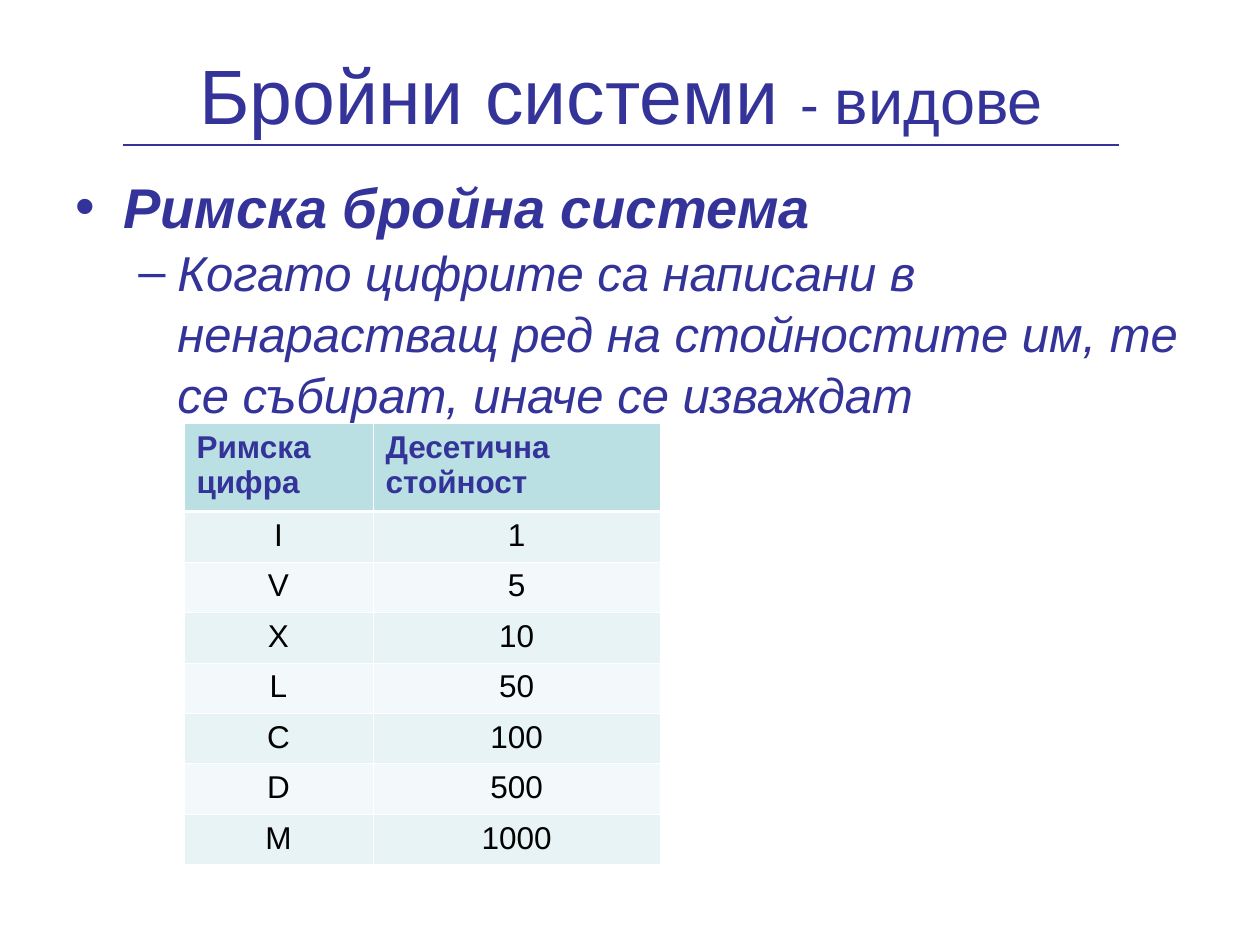
from lxml import etree
from pptx import Presentation
from pptx.dml.color import RGBColor
from pptx.enum.shapes import MSO_CONNECTOR
from pptx.enum.text import MSO_ANCHOR, PP_ALIGN
from pptx.oxml.ns import qn
from pptx.util import Inches, Pt

LEFT, CENTER = PP_ALIGN.LEFT, PP_ALIGN.CENTER
TOP, MIDDLE = MSO_ANCHOR.TOP, MSO_ANCHOR.MIDDLE
STRAIGHT = MSO_CONNECTOR.STRAIGHT

INDIGO = RGBColor(0x33, 0x33, 0x99)
BLACK = RGBColor(0, 0, 0)
WHITE = RGBColor(0xFF, 0xFF, 0xFF)
HEADER_FILL = RGBColor(0xBB, 0xE0, 0xE3)
BAND_FILLS = (RGBColor(0xE7, 0xF3, 0xF4), RGBColor(0xF3, 0xF9, 0xFA))

THIN, THICK = 0.45, 1.47


class SlideBuilder:
    font_name = "Arial"

    def __init__(self, page):
        self.page = page

    def add_span(self, para, text, color=INDIGO, **formats):
        span = para.add_run()
        span.text = text
        span.font.color.rgb = color
        for name, value in {"name": self.font_name, **formats}.items():
            setattr(span.font, name, value)

    def add_box(self, left, top, width, height, anchor):
        box = self.page.shapes.add_textbox(
            Inches(left), Inches(top), Inches(width), Inches(height))
        frame = box.text_frame
        frame.word_wrap = True
        frame.vertical_anchor = anchor
        return frame

    def add_bullet(self, para, mark, margin, hanging):
        properties = para._p.get_or_add_pPr()
        properties.set("marL", str(Inches(margin)))
        properties.set("indent", str(-Inches(hanging)))
        color = etree.SubElement(properties, qn("a:buClr"))
        etree.SubElement(color, qn("a:srgbClr"), val=str(INDIGO))
        etree.SubElement(properties, qn("a:buFont"), typeface=self.font_name)
        etree.SubElement(properties, qn("a:buChar"), char=mark)

    def add_rule(self, left, right, y):
        rule = self.page.shapes.add_connector(
            STRAIGHT, Inches(left), Inches(y), Inches(right), Inches(y))
        rule.line.color.rgb = INDIGO
        rule.line.width = Pt(1.5)
        etree.SubElement(rule._element.spPr, qn("a:effectLst"))

    def set_borders(self, cell, **widths):
        properties = cell._tc.get_or_add_tcPr()
        for index, side in enumerate(("L", "R", "T", "B")):
            border = etree.Element(
                qn("a:ln" + side), w=str(Pt(widths.get(side, THIN))))
            fill = etree.SubElement(border, qn("a:solidFill"))
            etree.SubElement(fill, qn("a:srgbClr"), val=str(WHITE))
            properties.insert(index, border)

    def add_table(self, left, top, column_widths, row_heights, rows):
        table = self.page.shapes.add_table(
            len(rows), len(column_widths), Inches(left), Inches(top),
            Inches(sum(column_widths)), Inches(sum(row_heights))).table
        for column, width in zip(table.columns, column_widths):
            column.width = Inches(width)
        for row, height in zip(table.rows, row_heights):
            row.height = Inches(height)
        for row_index, values in enumerate(rows):
            header = row_index == 0
            borders = {0: {"B": THICK}, 1: {"T": THICK}}.get(row_index, {})
            for column_index, value in enumerate(values):
                cell = table.cell(row_index, column_index)
                cell.fill.solid()
                cell.fill.fore_color.rgb = (
                    HEADER_FILL if header else BAND_FILLS[(row_index - 1) % 2])
                self.set_borders(cell, **borders)
                para = cell.text_frame.paragraphs[0]
                para.alignment = LEFT if header else CENTER
                self.add_span(para, value, INDIGO if header else BLACK,
                              size=Pt(18), bold=header)


def main():
    deck = Presentation()
    deck.slide_width, deck.slide_height = Inches(10), Inches(7.5)
    builder = SlideBuilder(deck.slides.add_slide(deck.slide_layouts[6]))

    # Title and the rule under it
    title = builder.add_box(0.43, 0.21, 9, 1.07, MIDDLE).paragraphs[0]
    title.alignment = CENTER
    for text, size in (("Бройни системи ", 44), ("- ", 32), ("видове", 36)):
        builder.add_span(title, text, size=Pt(size))
    builder.add_rule(0.98, 8.88, 1.15)

    # Bulleted text
    body = builder.add_box(0.5, 1.28, 9, 5.78, TOP)
    body.margin_top = Inches(0.07)
    heading, rule_text = body.paragraphs[0], body.add_paragraph()
    rule_text.level = 1
    for para in (heading, rule_text):
        para.line_spacing = 1.04
    builder.add_bullet(heading, "•", 0.38, 0.38)
    builder.add_span(heading, "Римска бройна система",
                     size=Pt(32), bold=True, italic=True)
    builder.add_bullet(rule_text, "–", 0.81, 0.31)
    builder.add_span(
        rule_text,
        "Когато цифрите са написани в ненарастващ ред на стойностите им, "
        "те се събират, иначе се изваждат",
        size=Pt(28), italic=True)

    # Roman digits and their values
    numerals = zip("IVXLCDM", ("1", "5", "10", "50", "100", "500", "1000"))
    rows = [("Римска цифра", "Десетична стойност"), *numerals]
    builder.add_table(1.46, 3.36, (1.5, 2.28), [0.7] + [0.4] * 7, rows)

    deck.save("out.pptx")


if __name__ == "__main__":
    main()
